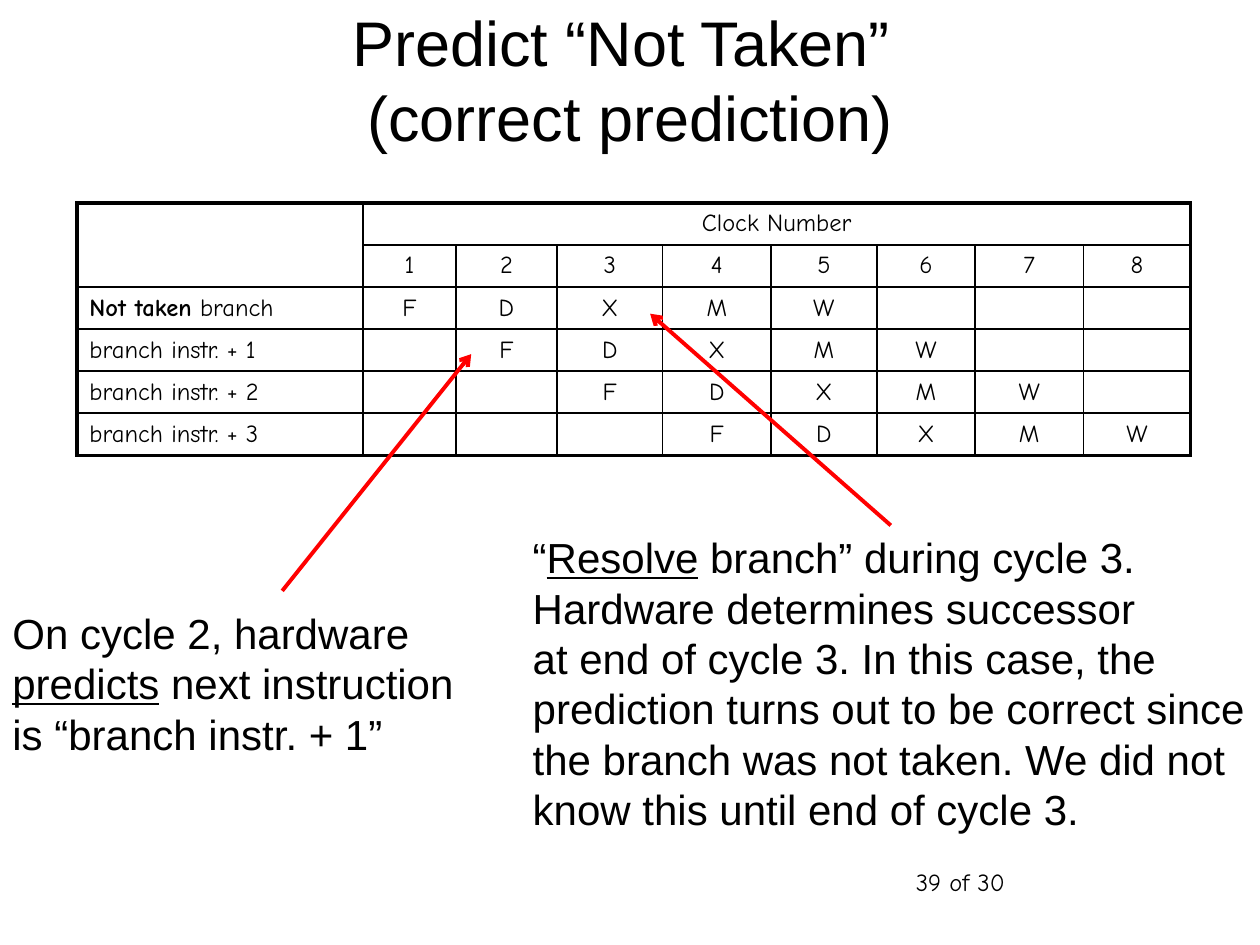
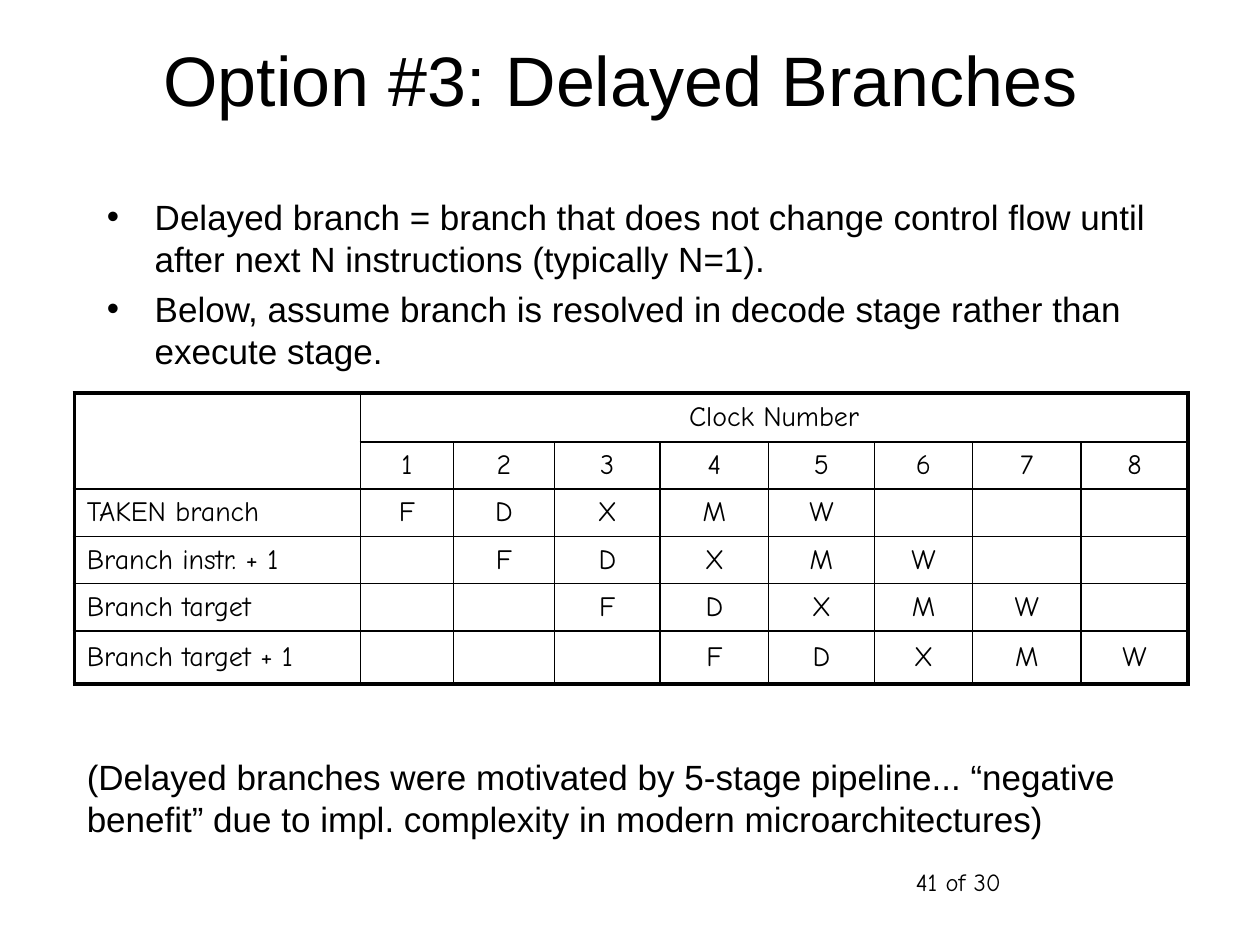
from lxml.etree import SubElement as Sub
from pptx import Presentation
from pptx.dml.color import RGBColor
from pptx.enum.shapes import MSO_CONNECTOR as Link
from pptx.enum.text import MSO_ANCHOR as Anchor, PP_ALIGN as Align
from pptx.oxml.ns import qn
from pptx.util import Inches, Pt

BLACK = RGBColor(0, 0, 0)
RED = RGBColor(255, 0, 0)
SANS, HAND = "Arial", "Comic Neue"
THIN, THICK = Pt(1), Pt(2.25)

deck = Presentation()
deck.slide_width, deck.slide_height = Inches(10), Inches(7.5)
# All lengths are percent of the slide's width (COL) or height (ROW)
COL, ROW = deck.slide_width / 100, deck.slide_height / 100


def write(para, text, size, font, align=Align.LEFT, mark="underline"):
    """Fill a paragraph; parts between underscores get the mark."""
    first, *rest = text.split("_")
    para.text = first
    for i, part in enumerate(rest):
        run = para.add_run()
        run.text = part
        if i % 2 == 0:
            setattr(run.font, mark, True)
    para.alignment = align
    para.font.size, para.font.name = Pt(size), font
    para.font.color.rgb = BLACK


def add_box(slide, place, lines, size, font=SANS, align=Align.LEFT,
            anchor=Anchor.TOP, bullet=False):
    x, y, w, h = place
    box = slide.shapes.add_textbox(
        round(x * COL), round(y * ROW), round(w * COL), round(h * ROW))
    frame = box.text_frame
    frame.word_wrap, frame.vertical_anchor = True, anchor
    for i, line in enumerate(lines):
        para = frame.add_paragraph() if i else frame.paragraphs[0]
        if bullet:
            props = para._p.get_or_add_pPr()
            props.set("marL", str(Inches(0.38)))
            props.set("indent", str(-Inches(0.38)))
            if i:
                para.space_before = Pt(4.6)
            Sub(props, qn("a:buFont"), typeface=SANS)
            Sub(props, qn("a:buChar"), char="•")
        write(para, line, size, font, align)


# What differs between the two pipeline slides
TALKS = [
    dict(title="Predict “Not Taken” \n(correct prediction)", size=36,
         page="39 of 30", at=(6.1, 21.47), rows=[4.44] * 6, text=14,
         names=["_Not taken_ branch"]
         + [f"branch instr. + {n}" for n in (1, 2, 3)]),
    dict(title="Option #3: Delayed Branches ", size=40,
         page="41 of 30", at=(5.9, 41.6), text=16,
         rows=[5.2, 4.93, 5.07, 4.93, 5.07, 5.6],
         names=["TAKEN branch", "Branch instr. + 1",
                "Branch target", "Branch target + 1"]),
]
COLS = [22.7, 7.4, 8, 8.4, 8.6, 8.4, 7.8, 8.6, 8.5]
STAGES = "FDXMW"

slides = []
for talk in TALKS:
    slide = deck.slides.add_slide(deck.slide_layouts[6])
    slides.append(slide)

    # Page number and title
    add_box(slide, (71.7, 91.07, 20.8, 6.67), [talk["page"]], 14, HAND)
    add_box(slide, (7.5, 0, 85, 16.67), [talk["title"]], talk["size"],
            align=Align.CENTER, anchor=Anchor.MIDDLE)

    # Pipeline table
    left, top = talk["at"]
    rows = talk["rows"]
    frame = slide.shapes.add_table(
        len(rows), len(COLS), round(left * COL), round(top * ROW),
        round(sum(COLS) * COL), round(sum(rows) * ROW))
    table = frame.table
    table.first_row = table.horz_banding = False
    for c, wide in enumerate(COLS):
        table.columns[c].width = round(wide * COL)
    for r, high in enumerate(rows):
        table.rows[r].height = round(high * ROW)
    table.cell(0, 0).merge(table.cell(1, 0))
    table.cell(0, 1).merge(table.cell(0, 8))

    for r in range(len(rows)):
        for c in range(len(COLS)):
            cell = table.cell(r, c)
            step = c - r + 1
            if r == 0:
                text = "Clock Number" if c == 1 else ""
            elif r == 1:
                text = str(c) if c else ""
            elif c == 0:
                text = talk["names"][r - 2]
            else:
                text = STAGES[step] if 0 <= step < len(STAGES) else ""
            para = cell.text_frame.paragraphs[0]
            write(para, text, talk["text"], HAND,
                  Align.CENTER if c else Align.LEFT, "bold")
            if not text:
                Sub(para._p, qn("a:endParaRPr"), sz=str(talk["text"] * 100))
            cell.vertical_anchor = Anchor.MIDDLE

            # Thick outer frame, thin inner lines
            props = cell._tc.get_or_add_tcPr()
            edges = {"L": c == 0, "R": c + cell.span_width == len(COLS),
                     "T": r == 0, "B": r + cell.span_height == len(rows)}
            for side, outer in edges.items():
                line = Sub(props, qn(f"a:ln{side}"),
                           w=str(THICK if outer else THIN))
                Sub(Sub(line, qn("a:solidFill")), qn("a:srgbClr"),
                    val=str(BLACK))
            cell.fill.background()

guess, delay = slides

# Remarks on the prediction, with arrows into the table
add_box(guess, (0, 63.6, 39.8, 28.27),
        ["On cycle 2, hardware", "_predicts_ next instruction",
         "is “branch instr. + 1”"], 24)
add_box(guess, (41.3, 55.6, 58.7, 39.07),
        ["“_Resolve_ branch” during cycle 3.",
         "Hardware determines successor",
         "at end of cycle 3. In this case, the prediction turns out to be "
         "correct since the branch was not taken. We did not know this "
         "until end of cycle 3."], 24)
for x1, y1, x2, y2 in [(22.4, 62.53, 37.4, 37.47), (70.7, 55.6, 51.6, 33.2)]:
    arrow = guess.shapes.add_connector(
        Link.STRAIGHT, round(x1 * COL), round(y1 * ROW),
        round(x2 * COL), round(y2 * ROW))
    arrow.line.color.rgb, arrow.line.width = RED, THICK
    Sub(arrow.line._get_or_add_ln(), qn("a:tailEnd"), type="arrow")
    Sub(arrow._element.spPr, qn("a:effectLst"))

# Definition and remark on delayed branches
add_box(delay, (7.5, 20, 85, 21),
        ["Delayed branch = branch that does not change control flow until "
         "after next N instructions (typically N=1).",
         "Below, assume branch is resolved in decode stage rather than "
         "execute stage."], 20, bullet=True)
add_box(delay, (5.9, 79.33, 88.1, 10.27),
        ["(Delayed branches were motivated by 5-stage pipeline... “negative "
         "benefit” due to impl. complexity in modern microarchitectures)"], 20)

deck.save("out.pptx")
